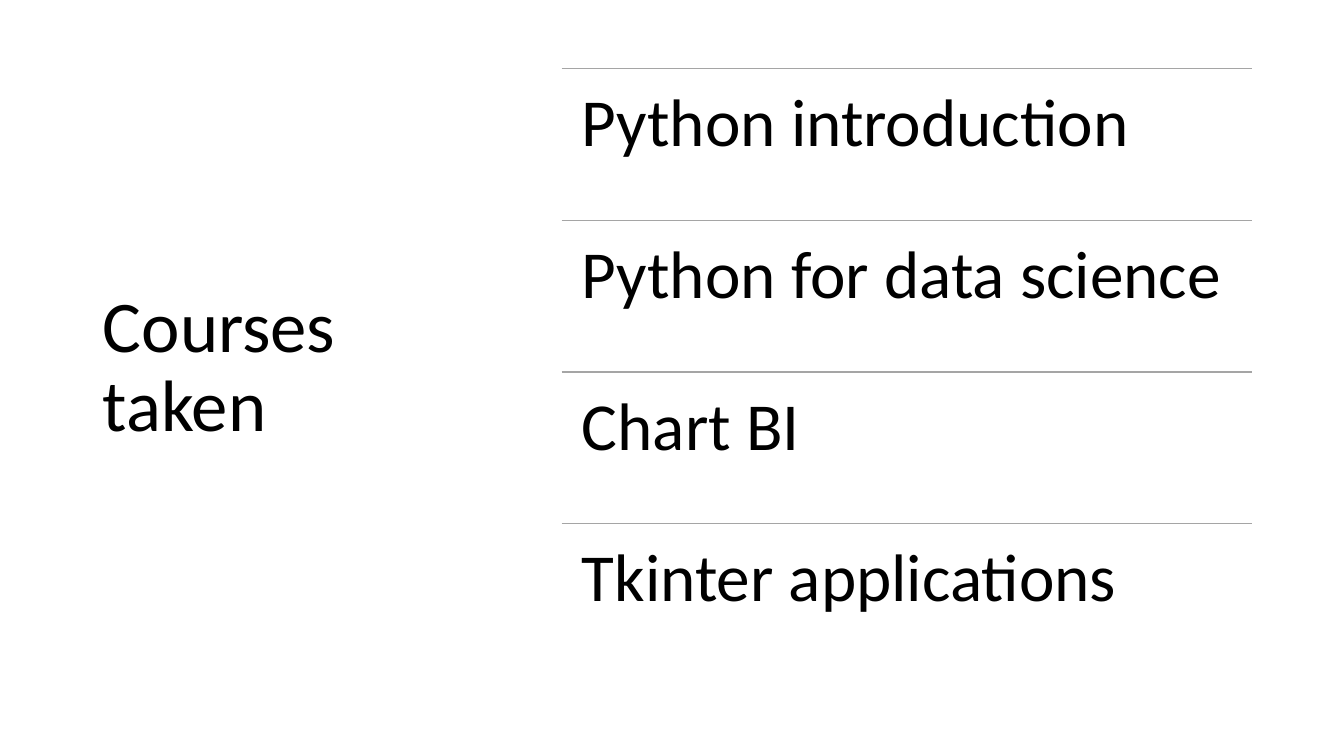
from lxml import etree
from pptx import Presentation
from pptx.dml.color import RGBColor
from pptx.enum.shapes import MSO_CONNECTOR
from pptx.enum.text import MSO_ANCHOR, MSO_AUTO_SIZE, PP_ALIGN
from pptx.oxml.ns import qn
from pptx.util import Inches, Pt

TITLE = "Courses taken"
COURSES = [
    "Python introduction",
    "Python for data science",
    "Chart BI",
    "Tkinter applications",
]

BLACK = RGBColor(0x00, 0x00, 0x00)
GREY = RGBColor(0xA5, 0xA5, 0xA5)
FONT = "Calibri"
STRAIGHT = MSO_CONNECTOR.STRAIGHT
TOP = MSO_ANCHOR.TOP
MIDDLE = MSO_ANCHOR.MIDDLE
LEFT = PP_ALIGN.LEFT
NO_AUTOFIT = MSO_AUTO_SIZE.NONE

LIST_LEFT, LIST_TOP = 5.57, 0.68
LIST_WIDTH, LIST_HEIGHT = 6.85, 6.02
ROW_HEIGHT = LIST_HEIGHT / len(COURSES)
INSET = Inches(0.2)


def write(frame, text, size, anchor):
    frame.text = text
    frame.word_wrap = True
    frame.auto_size = NO_AUTOFIT
    frame.vertical_anchor = anchor
    para = frame.paragraphs[0]
    para.alignment = LEFT
    para.line_spacing = 0.9
    font = para.runs[0].font
    font.name = FONT
    font.size = Pt(size)
    font.color.rgb = BLACK


def add_rule(shapes, top):
    rule = shapes.add_connector(
        STRAIGHT, Inches(LIST_LEFT), Inches(top),
        Inches(LIST_LEFT + LIST_WIDTH), Inches(top))
    rule.line.color.rgb = GREY
    rule.line.width = Pt(1)
    etree.SubElement(rule._element.spPr, qn("a:effectLst"))


def add_course(shapes, course, top):
    box = shapes.add_textbox(
        Inches(LIST_LEFT), Inches(top), Inches(LIST_WIDTH), Inches(ROW_HEIGHT))
    frame = box.text_frame
    frame.margin_left = frame.margin_right = INSET
    frame.margin_top = frame.margin_bottom = INSET
    write(frame, course, 48, TOP)


def main():
    deck = Presentation()
    deck.slide_width = Inches(13.33)
    deck.slide_height = Inches(7.5)
    page = deck.slides.add_slide(deck.slide_layouts[5])

    title = page.shapes.title
    title.left, title.top = Inches(0.92), Inches(0.61)
    title.width, title.height = Inches(3.69), Inches(6.09)
    write(title.text_frame, TITLE, 52, MIDDLE)

    course_list = page.shapes.add_group_shape()
    for index, course in enumerate(COURSES):
        top = LIST_TOP + index * ROW_HEIGHT
        add_rule(course_list.shapes, top)
        add_course(course_list.shapes, course, top)

    deck.save("out.pptx")


if __name__ == "__main__":
    main()
